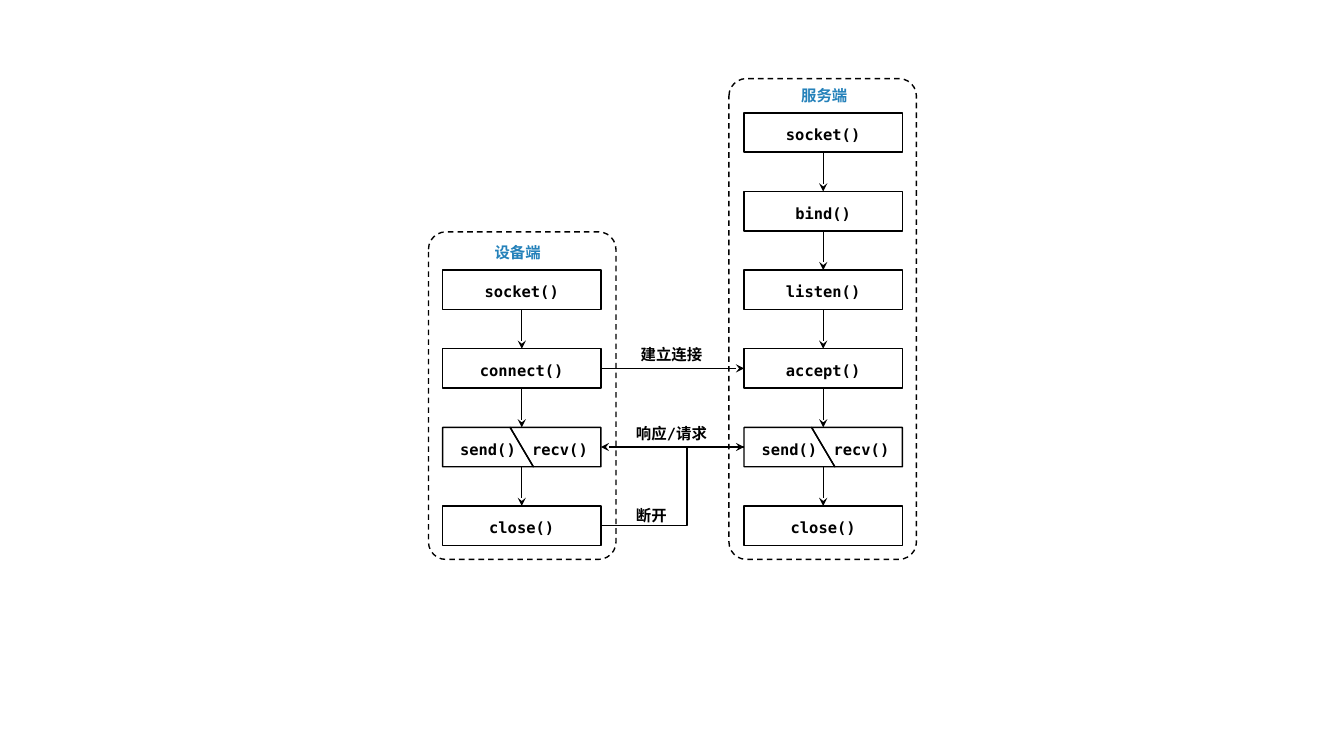
import pptx
import pptx.util
import pptx.dml.color
import pptx.enum.dml
import pptx.enum.shapes
import pptx.enum.text
import pptx.oxml.ns
import pptx.oxml.xmlchemy

Inches = pptx.util.Inches
Shape = pptx.enum.shapes.MSO_SHAPE
Link = pptx.enum.shapes.MSO_CONNECTOR
qn = pptx.oxml.ns.qn

COLORS = {"ink": "000000", "title": "2481BA"}
FONT = "DejaVu Sans Mono"
TOP, PITCH = 1.12, 0.78
BOX_W, BOX_H = 1.57, 0.39
CUT_TOP, CUT_LOW = 0.67, 0.9
LEFT_X, RIGHT_X = 4.39, 7.38
SPLIT = ("send()", "recv()")


def color(name):
    return pptx.dml.color.RGBColor.from_string(COLORS[name])


def row_y(row):
    return TOP + PITCH * row


def mid_y(row):
    return row_y(row) + BOX_H / 2


def add_child(parent, tag, **attrs):
    node = pptx.oxml.xmlchemy.OxmlElement(tag)
    for key, value in attrs.items():
        node.set(key, value)
    parent.append(node)


def write(shape, text, tone="ink", indent=0):
    frame = shape.text_frame
    frame.word_wrap = True
    frame.margin_left, frame.margin_top = Inches(indent), Inches(0.04)
    frame.margin_right = frame.margin_bottom = 0
    frame.vertical_anchor = pptx.enum.text.MSO_ANCHOR.MIDDLE
    frame.text = text
    para = frame.paragraphs[0]
    para.alignment = pptx.enum.text.PP_ALIGN.CENTER
    font = para.runs[0].font
    font.name, font.size, font.bold = FONT, pptx.util.Pt(11), True
    font.color.rgb = color(tone)
    add_child(para.runs[0]._r.get_or_add_rPr(), "a:ea", typeface=FONT)


def label(slide, box, text, tone="ink"):
    write(slide.shapes.add_textbox(*map(Inches, box)), text, tone)


def ink(shape):
    shape.shadow.inherit = False
    shape.fill.background()
    shape.line.color.rgb = color("ink")
    shape.line.width = pptx.util.Pt(1)


def block(slide, x, y, text):
    box = slide.shapes.add_shape(Shape.RECTANGLE, *map(Inches, (x, y, BOX_W, BOX_H)))
    ink(box)
    write(box, text)
    return box


def split(slide, x, y):
    low = y + BOX_H
    top_cut, low_cut = (x + CUT_TOP, y), (x + CUT_LOW, low)
    halves = (
        [(x, y), top_cut, low_cut, (x, low)],
        [top_cut, (x + BOX_W, y), (x + BOX_W, low), low_cut],
    )
    for points, text, indent in zip(halves, SPLIT, (0, 0.09)):
        spots = [tuple(map(Inches, point)) for point in points]
        pen = slide.shapes.build_freeform(*spots[0])
        pen.add_line_segments(spots[1:], close=True)
        half = pen.convert_to_shape()
        ink(half)
        write(half, text, indent=indent)


def wire(slide, start, end, kind=Link.STRAIGHT, heads=("tailEnd",)):
    line = slide.shapes.add_connector(kind, *map(Inches, start + end))
    line.line.color.rgb = color("ink")
    line.line.width = pptx.util.Pt(1)
    for head in heads:
        add_child(line.line._get_or_add_ln(), "a:" + head, type="stealth")
    add_child(line._element.spPr, "a:effectLst")
    return line


def lane(slide, frame, x, first, steps, title, spot):
    border = slide.shapes.add_shape(Shape.ROUNDED_RECTANGLE, *map(Inches, frame))
    border.adjustments[0] = 0.093
    ink(border)
    border.line.dash_style = pptx.enum.dml.MSO_LINE.DASH
    label(slide, (frame[0] + spot[0], frame[1] + spot[1], 0.71, 0.3), title, "title")
    boxes = []
    for row, step in enumerate(steps, first):
        if step == SPLIT:
            boxes.append(split(slide, x, row_y(row)))
        else:
            boxes.append(block(slide, x, row_y(row), step))
    mid = x + BOX_W / 2
    for row, (upper, lower) in enumerate(zip(boxes, boxes[1:]), first):
        arrow = wire(slide, (mid, row_y(row) + BOX_H), (mid, row_y(row + 1)))
        if upper:
            arrow.begin_connect(upper, 2)
        if lower:
            arrow.end_connect(lower, 0)
    return boxes


def links(slide, left, right, client, server):
    join = wire(slide, (left, mid_y(3)), (right, mid_y(3)))
    join.begin_connect(client[1], 3)
    join.end_connect(server[3], 1)
    wire(slide, (right, mid_y(4)), (left, mid_y(4)), heads=("headEnd", "tailEnd"))
    bend = wire(slide, (left, mid_y(5)), (right, mid_y(4)), Link.ELBOW, ())
    guides = bend._element.spPr.find(qn("a:prstGeom")).find(qn("a:avLst"))
    add_child(guides, "a:gd", name="adj1", fmla="val 60000")
    label(slide, (left + 0.26, row_y(3) - 0.11, 0.88, 0.3), "建立连接")
    label(slide, (left + 0.23, row_y(4) - 0.11, 0.94, 0.3), "响应/请求")
    label(slide, (left + 0.23, row_y(5) - 0.08, 0.54, 0.3), "断开")


def main():
    deck = pptx.Presentation()
    deck.slide_width, deck.slide_height = Inches(13.33), Inches(7.5)
    slide = deck.slides.add_slide(deck.slide_layouts[6])
    server = lane(slide, (7.23, 0.78, 1.86, 4.77), RIGHT_X, 0,
                  ["socket()", "bind()", "listen()", "accept()", SPLIT, "close()"],
                  "服务端", (0.59, 0))
    client = lane(slide, (4.25, 2.3, 1.86, 3.25), LEFT_X, 2,
                  ["socket()", "connect()", SPLIT, "close()"],
                  "设备端", (0.53, 0.03))
    links(slide, LEFT_X + BOX_W, RIGHT_X, client, server)
    deck.save("out.pptx")


if __name__ == "__main__":
    main()
